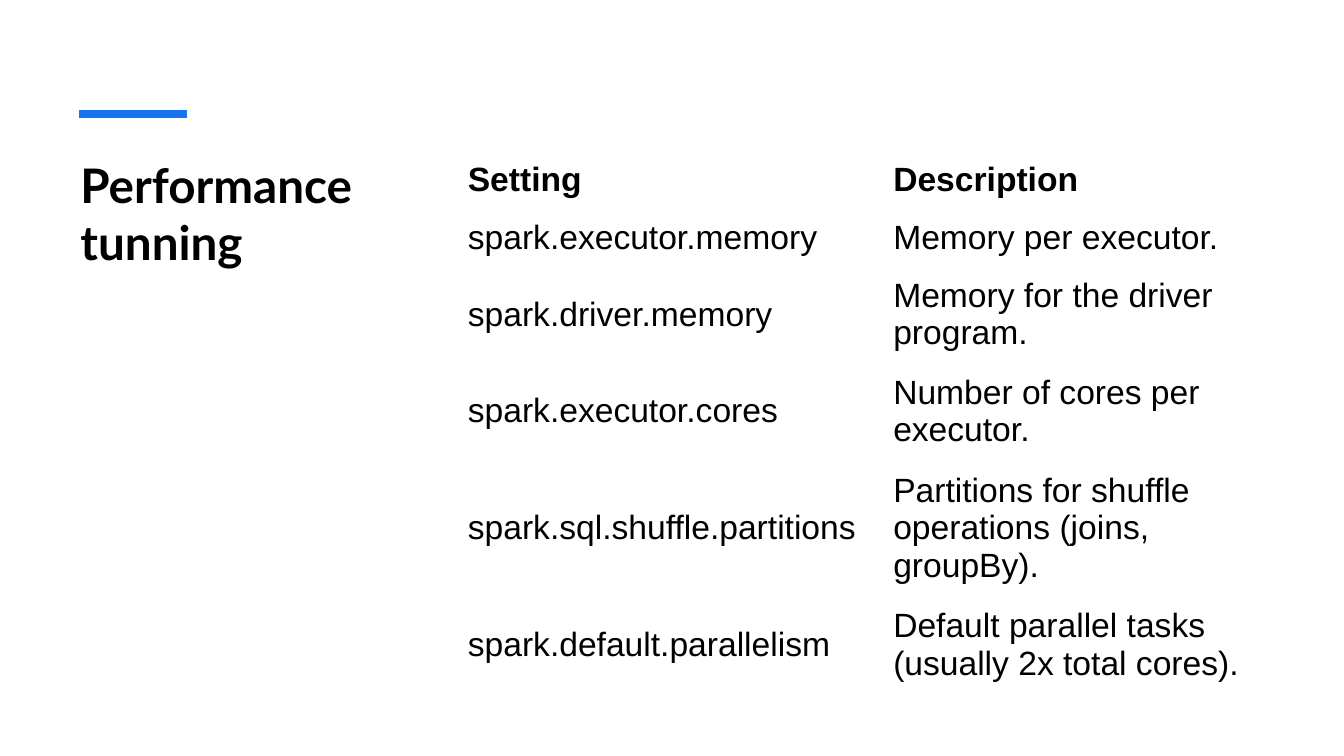
"""Build the performance tuning slide with its table of Spark settings."""
from dataclasses import dataclass

from lxml import etree
from pptx import Presentation
from pptx.dml import color
from pptx.enum import shapes, text
from pptx.oxml import ns
from pptx.util import Inches, Pt

BLACK = "000000"
ACCENT = "1973EB"
COLUMN_WIDTHS = (4.22, 3.8)


@dataclass(frozen=True)
class SettingRow:
    setting: str
    description: str
    height: float
    bold: bool = False


ROWS = (
    SettingRow("Setting", "Description", 0.57, bold=True),
    SettingRow("spark.executor.memory", "Memory per executor.", 0.57),
    SettingRow("spark.driver.memory", "Memory for the driver program.", 0.96),
    SettingRow("spark.executor.cores", "Number of cores per executor.", 0.96),
    SettingRow("spark.sql.shuffle.partitions",
               "Partitions for shuffle operations (joins, groupBy).", 1.36),
    SettingRow("spark.default.parallelism",
               "Default parallel tasks (usually 2x total cores).", 0.96),
)


def rgb(value: str) -> color.RGBColor:
    return color.RGBColor.from_string(value)


def style_paragraph(paragraph, name: str, size: float, bold: bool) -> None:
    font = paragraph.font
    font.name = name
    font.size = Pt(size)
    font.bold = bold
    font.color.rgb = rgb(BLACK)


def add_title(slide, title: str) -> None:
    box = slide.shapes.add_textbox(Inches(0.7), Inches(1.5), Inches(2.9), Inches(4.54))
    frame = box.text_frame
    frame.word_wrap = True
    frame.text = title
    style_paragraph(frame.paragraphs[0], "Lato", 34, True)


def add_accent_line(slide) -> None:
    line = slide.shapes.add_connector(
        shapes.MSO_CONNECTOR.STRAIGHT,
        Inches(0.78), Inches(1.13), Inches(1.85), Inches(1.13))
    line.line.color.rgb = rgb(ACCENT)
    line.line.width = Pt(6)
    etree.SubElement(line._element.spPr, ns.qn("a:effectLst"))


def fill_cell(cell, content: str, bold: bool) -> None:
    cell.fill.background()
    cell.vertical_anchor = text.MSO_ANCHOR.MIDDLE
    cell.margin_left = cell.margin_right = Inches(0.13)
    cell.margin_top = cell.margin_bottom = Inches(0.07)
    cell.text = content
    style_paragraph(cell.text_frame.paragraphs[0], "Arial", 24, bold)


def add_settings_table(slide) -> None:
    table = slide.shapes.add_table(
        len(ROWS), len(COLUMN_WIDTHS), Inches(4.51), Inches(1.5),
        Inches(sum(COLUMN_WIDTHS)), Inches(sum(row.height for row in ROWS))).table
    table.first_row = False
    table.horz_banding = False
    style_id = table._tbl.tblPr.find(ns.qn("a:tableStyleId"))
    style_id.text = "{2D5ABB26-0587-4C30-8999-92F81FD0307C}"
    for column, width in zip(table.columns, COLUMN_WIDTHS):
        column.width = Inches(width)
    for table_row, row in zip(table.rows, ROWS):
        table_row.height = Inches(row.height)
        for cell, content in zip(table_row.cells, (row.setting, row.description)):
            fill_cell(cell, content, row.bold)


def main() -> None:
    presentation = Presentation()
    presentation.slide_width = Inches(13.33)
    presentation.slide_height = Inches(7.5)
    slide = presentation.slides.add_slide(presentation.slide_layouts[6])
    add_title(slide, "Performance tunning")
    add_accent_line(slide)
    add_settings_table(slide)
    presentation.save("out.pptx")


if __name__ == "__main__":
    main()
